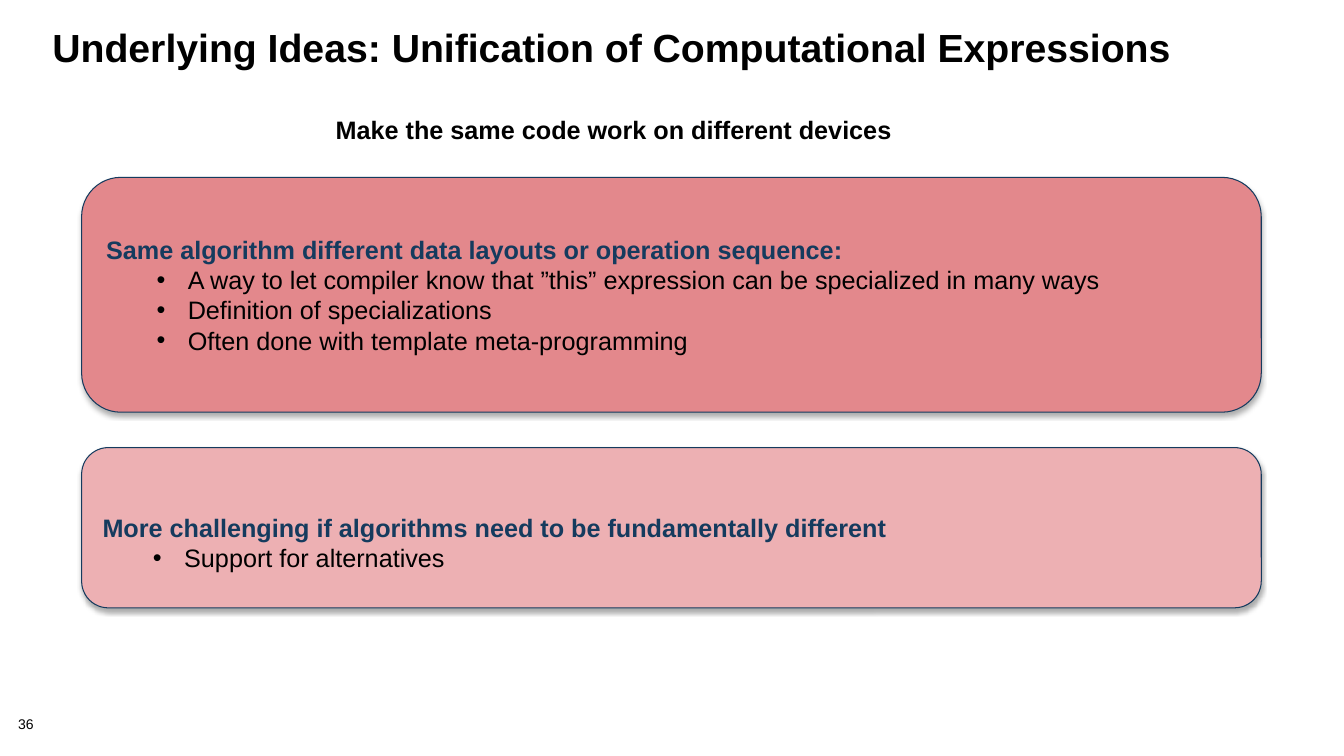
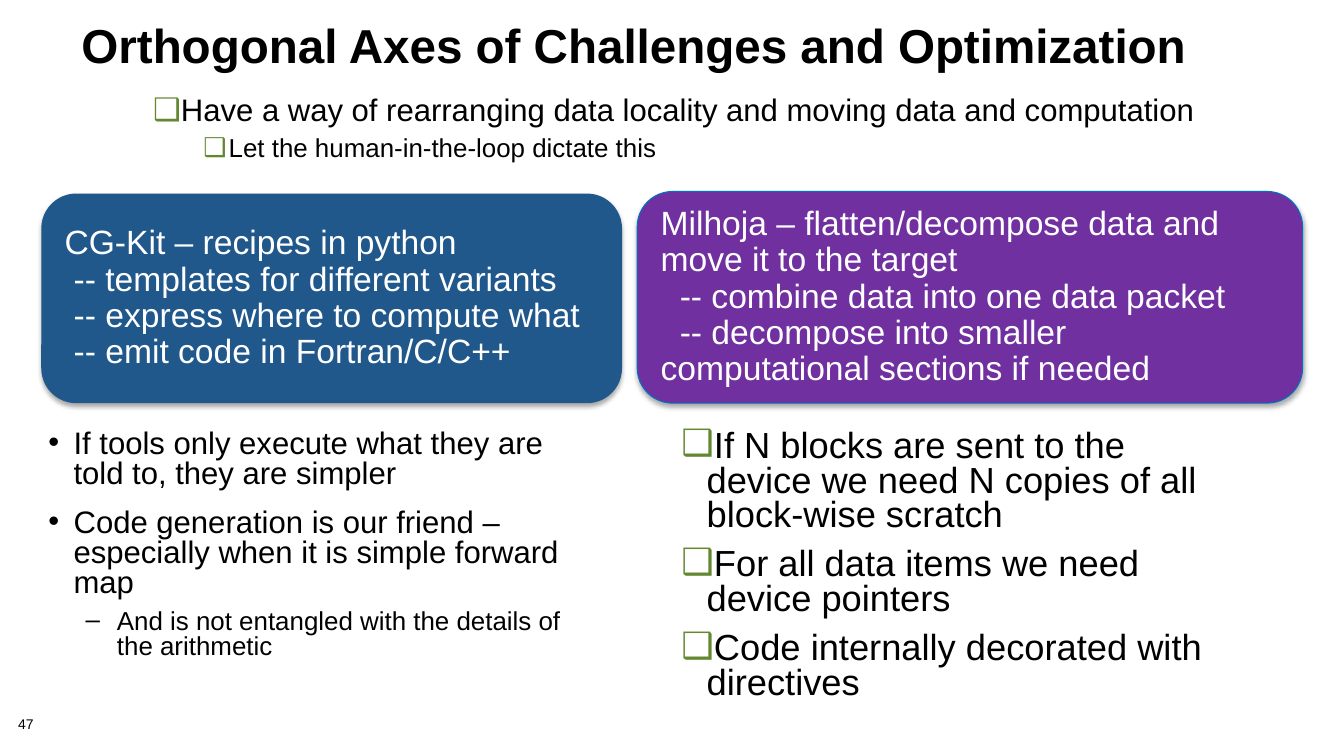
from dataclasses import dataclass
from typing import Optional

from lxml.etree import SubElement
from pptx import Presentation
from pptx.dml.color import RGBColor as RGB
from pptx.enum.shapes import MSO_SHAPE as Preset
from pptx.enum.text import MSO_ANCHOR as Anchor, PP_ALIGN as Align
from pptx.oxml.ns import qn
from pptx.util import Inches, Pt


@dataclass(frozen=True)
class Theme:
    font: str = "Arial"
    black: str = "000000"
    white: str = "FFFFFF"
    navy: str = "153B5E"
    green: str = "638831"
    rose: str = "E3888C"
    blush: str = "EDB0B3"
    blue: str = "20588C"
    sky: str = "0070C0"
    purple: str = "7030A0"
    number_size: float = 10
    text_size: float = 18
    minor_size: float = 18.5
    major_size: float = 22.2
    card_size: float = 24
    large_size: float = 25.9
    title_size: float = 28
    wide_title_size: float = 34
    frame_insets: tuple = (0.1, 0.05, 0.1, 0.05)
    holder_insets: tuple = (0.07, 0.05, 0.07, 0.05)
    card_insets: tuple = (0.13, 0.07, 0.13, 0.07)


THEME = Theme()


@dataclass(frozen=True)
class Style:
    size: float
    color: str = THEME.black
    bold: bool = False
    line_spacing: float = 1.0
    before: float = 0
    level: int = 0
    margin: float = 0
    indent: float = 0
    bullet: str = ""
    bullet_color: Optional[str] = None


TITLE = Style(THEME.title_size, bold=True, line_spacing=0.85)
WIDE_TITLE = Style(THEME.wide_title_size, bold=True, line_spacing=0.8)
NUMBER = Style(THEME.number_size, line_spacing=0.9)
SUBTITLE = Style(THEME.text_size, bold=True, line_spacing=0.9)
CARD_HEAD = Style(THEME.text_size, THEME.navy, bold=True)
CARD_POINT = Style(THEME.text_size, level=1, margin=0.81, indent=-0.31, bullet="•")
TOOL = Style(THEME.card_size, THEME.white, line_spacing=0.9)
RECIPE_STEP = Style(THEME.card_size, THEME.white, line_spacing=0.9, margin=0.09)
DATA_STEP = Style(THEME.card_size, THEME.white, line_spacing=0.9, indent=0.19)
GOAL = Style(THEME.major_size, line_spacing=0.9, level=1, margin=0.75,
             indent=-0.25, bullet="❑", bullet_color=THEME.green)
SUBGOAL = Style(THEME.minor_size, line_spacing=0.9, before=5, level=2, margin=1.25,
                indent=-0.25, bullet="❑", bullet_color=THEME.green)
LESSON = Style(THEME.major_size, line_spacing=0.8, before=14, margin=0.25,
               indent=-0.25, bullet="•", bullet_color=THEME.black)
SUBLESSON = Style(THEME.minor_size, line_spacing=0.8, before=8, level=1, margin=0.68,
                  indent=-0.31, bullet="–", bullet_color=THEME.black)
DEMAND = Style(THEME.large_size, line_spacing=0.8, before=10, margin=0.25,
               indent=-0.25, bullet="❑", bullet_color=THEME.green)


def apply(target, values):
    for name, value in values.items():
        setattr(target, name, value)


def set_indents(paragraph, style):
    properties = paragraph._p.get_or_add_pPr()
    properties.set("marL", str(Inches(style.margin)))
    properties.set("indent", str(Inches(style.indent)))
    if style.bullet_color:
        color = SubElement(properties, qn("a:buClr"))
        SubElement(color, qn("a:srgbClr"), val=style.bullet_color)
    if style.bullet:
        SubElement(properties, qn("a:buFont"), typeface=THEME.font)
        SubElement(properties, qn("a:buChar"), char=style.bullet)
    else:
        SubElement(properties, qn("a:buNone"))


def write(frame, lines, insets, anchor=Anchor.TOP):
    left, top, right, bottom = map(Inches, insets)
    apply(frame, {
        "word_wrap": True,
        "vertical_anchor": anchor,
        "margin_left": left,
        "margin_top": top,
        "margin_right": right,
        "margin_bottom": bottom,
    })
    for index, (text, style) in enumerate(lines):
        paragraph = frame.paragraphs[0] if index == 0 else frame.add_paragraph()
        set_indents(paragraph, style)
        apply(paragraph, {
            "alignment": Align.LEFT,
            "level": style.level,
            "line_spacing": style.line_spacing,
            "space_before": Pt(style.before if index else 0),
        })
        run = paragraph.add_run()
        run.text = text
        apply(run.font, {
            "name": THEME.font,
            "size": Pt(style.size),
            "bold": style.bold,
        })
        run.font.color.rgb = RGB.from_string(style.color)


def add_text(slide, place, lines, insets=THEME.frame_insets, anchor=Anchor.TOP):
    box = slide.shapes.add_textbox(*map(Inches, place))
    write(box.text_frame, lines, insets, anchor)


def add_soft_shadow(shape):
    shape.shadow.inherit = False
    effects = shape._element.spPr.find(qn("a:effectLst"))
    shadow = SubElement(effects, qn("a:outerShdw"), blurRad=str(Pt(3.5)),
                        dist=str(Pt(2.2)), dir="5400000", rotWithShape="0")
    color = SubElement(shadow, qn("a:srgbClr"), val=THEME.black)
    SubElement(color, qn("a:alpha"), val="32000")


def add_card(slide, place, fill, lines, outline=None, insets=THEME.card_insets):
    card = slide.shapes.add_shape(Preset.ROUNDED_RECTANGLE, *map(Inches, place))
    card.fill.solid()
    card.fill.fore_color.rgb = RGB.from_string(fill)
    if outline:
        card.line.color.rgb = RGB.from_string(outline)
        card.line.width = Pt(0.75)
    else:
        card.line.fill.background()
    add_soft_shadow(card)
    write(card.text_frame, lines, insets, Anchor.MIDDLE)


def add_slide(deck, number):
    slide = deck.slides.add_slide(deck.slide_layouts[6])
    add_text(slide, (0.18, 7.12, 0.56, 0.16), [(number, NUMBER)], (0, 0, 0, 0))
    return slide


def build_unification(deck):
    slide = add_slide(deck, "36")
    add_text(slide, (0.45, 0.25, 12.44, 1),
             [("Underlying Ideas: Unification of Computational Expressions", TITLE)],
             THEME.holder_insets)
    add_text(slide, (3.2, 1.07, 6, 0.5),
             [("Make the same code work on different devices", SUBTITLE)],
             (0.13, 0.1, 0.13, 0.1))
    add_card(slide, (0.81, 1.76, 11.7, 2.33), THEME.rose, [
        ("Same algorithm different data layouts or operation sequence:", CARD_HEAD),
        ("A way to let compiler know that ”this” expression can be specialized "
         "in many ways", CARD_POINT),
        ("Definition of specializations", CARD_POINT),
        ("Often done with template meta-programming", CARD_POINT),
    ], THEME.navy)
    add_card(slide, (0.81, 4.44, 11.7, 1.59), THEME.blush, [
        ("More challenging if algorithms need to be fundamentally different", CARD_HEAD),
        ("Support for alternatives", CARD_POINT),
    ], THEME.navy, (0.13, 0.36, 0.13, 0.07))


def build_axes(deck):
    slide = add_slide(deck, "47")
    add_text(slide, (0.71, 0.06, 11.5, 0.87),
             [("Orthogonal Axes of Challenges and Optimization", WIDE_TITLE)],
             anchor=Anchor.MIDDLE)
    add_text(slide, (0.92, 0.89, 11.5, 1.01), [
        ("Have a way of rearranging data locality and moving data and computation", GOAL),
        ("Let the human-in-the-loop dictate this", SUBGOAL),
    ])
    add_card(slide, (0.41, 1.92, 5.76, 2.08), THEME.blue, [
        ("CG-Kit – recipes in python", TOOL),
        ("-- templates for different variants", RECIPE_STEP),
        ("-- express where to compute what", RECIPE_STEP),
        ("-- emit code in Fortran/C/C++", RECIPE_STEP),
    ])
    add_card(slide, (6.32, 1.9, 6.6, 2.1), THEME.purple, [
        ("Milhoja – flatten/decompose data and move it to the target", TOOL),
        ("-- combine data into one data packet", DATA_STEP),
        ("-- decompose into smaller computational sections if needed", DATA_STEP),
    ], THEME.sky)
    add_text(slide, (0.41, 4.22, 5.28, 2.48), [
        ("If tools only execute what they are told to, they are simpler", LESSON),
        ("Code generation is our friend – especially when it is simple forward map",
         LESSON),
        ("And is not entangled with the details of the arithmetic", SUBLESSON),
    ], THEME.holder_insets)
    add_text(slide, (6.66, 4.22, 5.55, 2.82), [
        ("If N blocks are sent to the device we need N copies of all block-wise scratch",
         DEMAND),
        ("For all data items we need device pointers", DEMAND),
        ("Code internally decorated with directives", DEMAND),
    ])


def main():
    deck = Presentation()
    apply(deck, {"slide_width": Inches(13.33), "slide_height": Inches(7.5)})
    build_unification(deck)
    build_axes(deck)
    deck.save("out.pptx")


if __name__ == "__main__":
    main()
